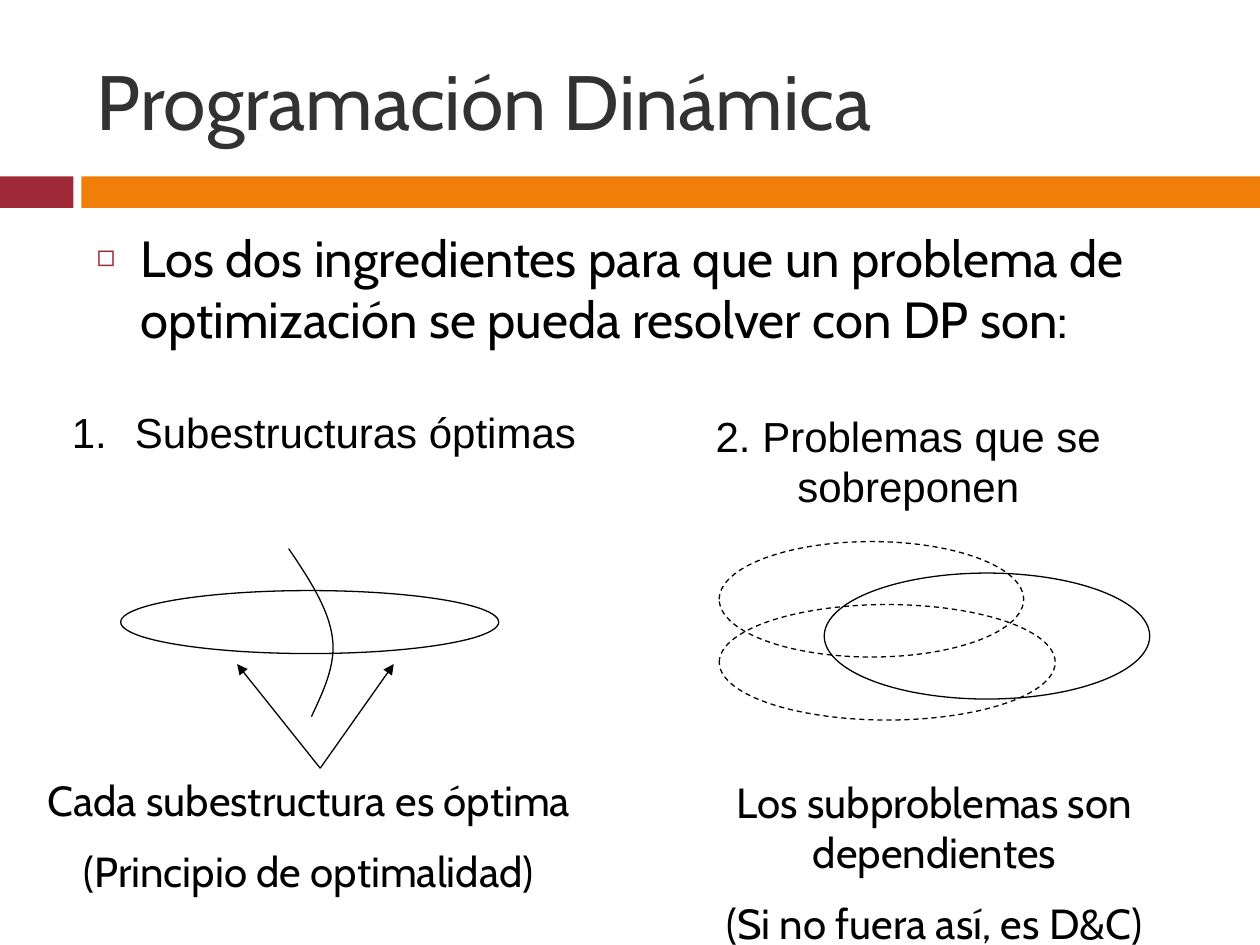
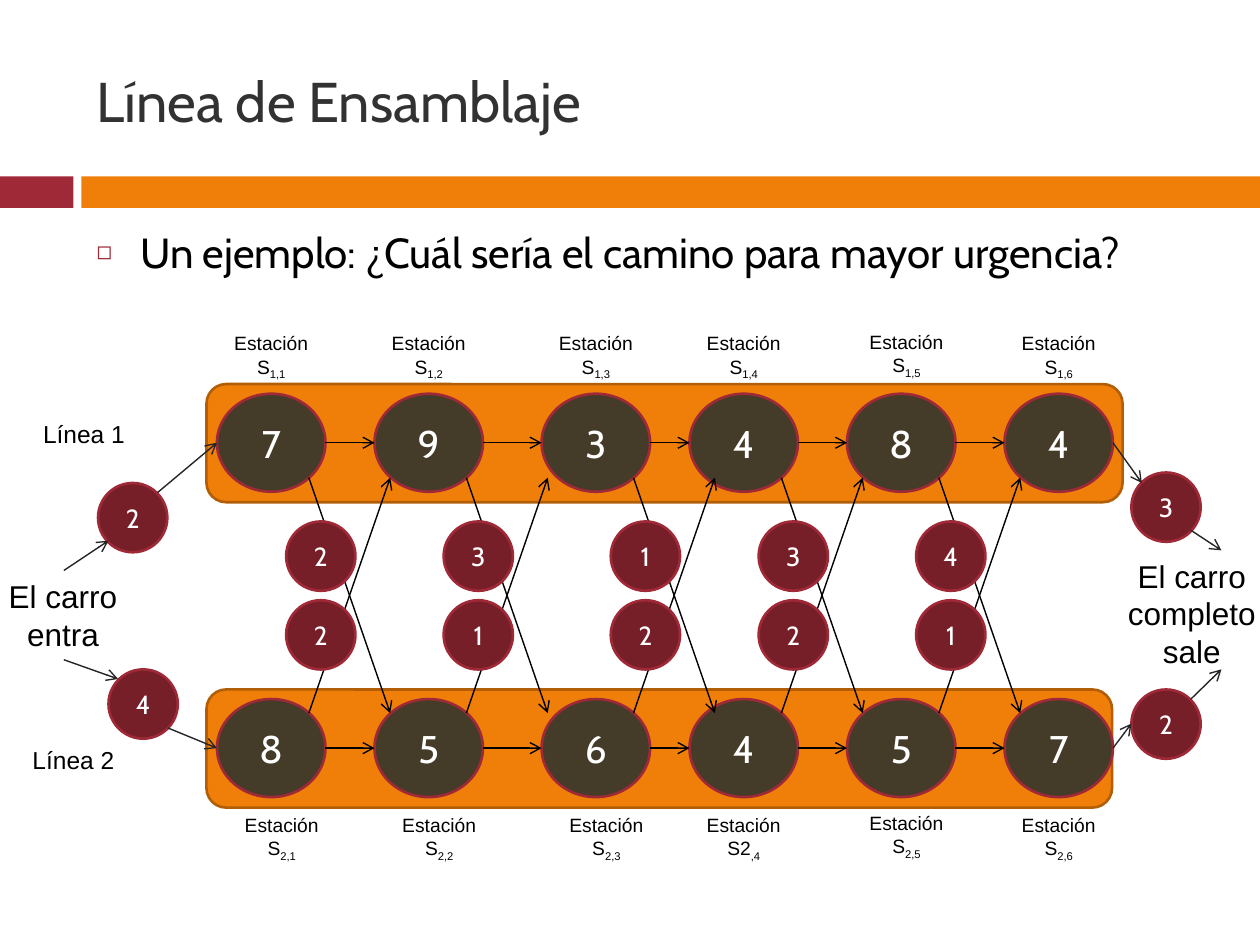
import pptx
import pptx.dml.color
import pptx.enum.dml
import pptx.enum.shapes
import pptx.enum.text
import pptx.oxml.ns
import pptx.util
import lxml.etree

Pt = pptx.util.Pt
RGB = pptx.dml.color.RGBColor
SHAPE = pptx.enum.shapes.MSO_SHAPE
ALIGN = pptx.enum.text.PP_ALIGN
ANCHOR = pptx.enum.text.MSO_ANCHOR
DASH = pptx.enum.dml.MSO_LINE.DASH
qn = pptx.oxml.ns.qn

BLACK = RGB(0x00, 0x00, 0x00)
WHITE = RGB(0xFF, 0xFF, 0xFF)
RED = RGB(0x9F, 0x29, 0x36)
DARK_RED = RGB(0x77, 0x1F, 0x28)
ORANGE = RGB(0xF0, 0x7F, 0x09)
BROWN = RGB(0xB2, 0x5E, 0x07)
OLIVE = RGB(0x44, 0x3C, 0x29)
INK = RGB(0x32, 0x32, 0x32)
GREY = RGB(0x26, 0x26, 0x26)

NO_INSET = dict(margin_left=0, margin_right=0, margin_top=0, margin_bottom=0)
TITLE_BOX = (48, 18, 642, 78)
BODY_BOX = (48, 126, 642, 354)


def apply(obj, values):
    for name, value in values.items():
        setattr(obj, name, value)


def sub(parent, tag, **attrs):
    return lxml.etree.SubElement(parent, qn(tag), attrs)


def place(sp, box):
    apply(sp, dict(zip(("left", "top", "width", "height"), map(Pt, box))))


def add_run(p, text, size, font, color):
    r = p.add_run()
    r.text = text
    apply(r.font, dict(size=Pt(size), name=font))
    r.font.color.rgb = color
    return r


def write(tf, lines, size, font, color=BLACK, align=ALIGN.CENTER, gap=0):
    for i, line in enumerate(lines):
        p = tf.paragraphs[0] if i == 0 else tf.add_paragraph()
        apply(p, dict(alignment=align, space_before=Pt(gap if i else 0)))
        add_run(p, line, size, font, color)


def add_text(s, box, lines, size, font="Arial", **kw):
    sp = s.shapes.add_textbox(*map(Pt, box))
    sp.text_frame.word_wrap = True
    write(sp.text_frame, lines, size, font, **kw)
    return sp


def outline(sp, color, width, dash=None):
    sp.line.color.rgb = color
    sp.line.width = Pt(width)
    if dash:
        sp.line.dash_style = dash


def add_shape(s, kind, box, fill=None, line=None, width=0.75, dash=None):
    sp = s.shapes.add_shape(kind, *map(Pt, box))
    sp.shadow.inherit = False
    if fill is None:
        sp.fill.background()
    else:
        sp.fill.solid()
        sp.fill.fore_color.rgb = fill
    if line is None:
        sp.line.fill.background()
    else:
        outline(sp, line, width, dash)
    return sp


def add_ball(s, box, fill, text, size):
    sp = add_shape(s, SHAPE.OVAL, box, fill, RED, 1.5)
    apply(sp.text_frame, dict(NO_INSET, vertical_anchor=ANCHOR.MIDDLE))
    write(sp.text_frame, [text], size, "Cabin", WHITE)


def add_arrow(s, x1, y1, x2, y2, color=BLACK, width=0.79, head="arrow"):
    cn = s.shapes.add_connector(pptx.enum.shapes.MSO_CONNECTOR.STRAIGHT,
                                *map(Pt, (x1, y1, x2, y2)))
    outline(cn, color, width)
    sub(cn.line._get_or_add_ln(), "a:tailEnd", type=head)
    sub(cn.element.spPr, "a:effectLst")


def add_bullet(p, indent, number=False):
    pPr = p._p.get_or_add_pPr()
    pPr.set("marL", str(Pt(indent)))
    pPr.set("indent", str(-Pt(indent)))
    if number:
        sub(pPr, "a:buFont", typeface="+mj-lt")
        sub(pPr, "a:buAutoNum", type="arabicPeriod")
    else:
        sub(sub(pPr, "a:buClr"), "a:srgbClr", val=str(RED))
        sub(pPr, "a:buSzPct", val="60000")
        sub(pPr, "a:buChar", char="◻")


def add_bands(s, layout):
    for box, color in (((0, 100.8, 42, 18), RED), ((46.5, 100.8, 673.5, 18), ORANGE)):
        layout.shapes.element.append(add_shape(s, SHAPE.RECTANGLE, box, color).element)


def add_slide(prs, layout, title, size, body, body_size):
    s = prs.slides.add_slide(layout)
    for sp, box in zip(s.placeholders, (TITLE_BOX, BODY_BOX)):
        place(sp, box)
        apply(sp.text_frame, dict(auto_size=pptx.enum.text.MSO_AUTO_SIZE.NONE, word_wrap=True))
    s.shapes.title.text_frame.vertical_anchor = ANCHOR.MIDDLE
    write(s.shapes.title.text_frame, [title], size, "Cabin", INK, ALIGN.LEFT)
    tf = s.placeholders[1].text_frame
    write(tf, [body], body_size, "Cabin", align=ALIGN.LEFT)
    tf.paragraphs[0].space_before = Pt(7)
    add_bullet(tf.paragraphs[0], 25)
    return s


def bezier(a, b, c, d, steps=16):
    for i in range(1, steps + 1):
        t = i / steps
        u = 1 - t
        yield tuple(u**3 * e + 3 * u * u * t * f + 3 * u * t * t * g + t**3 * h
                    for e, f, g, h in zip(a, b, c, d))


def optimal_substructure(s, x, y):
    sp = add_text(s, (x + 20, y, 324, 37), ["Subestructuras óptimas"], 24, align=ALIGN.LEFT)
    add_bullet(sp.text_frame.paragraphs[0], 36, number=True)
    add_shape(s, SHAPE.OVAL, (x + 55, y + 108.5, 216, 36), line=BLACK)
    cut = [(x + dx, y + dy) for dx, dy in
           ((151, 84.5), (162.5, 101.5), (174, 119), (176, 135.5),
            (178, 151), (171, 165.5), (164, 180.5))]
    fb = s.shapes.build_freeform(*map(Pt, cut[0]))
    points = [*bezier(*cut[:4]), *bezier(*cut[3:])]
    fb.add_line_segments([tuple(map(Pt, pt)) for pt in points], close=False)
    sp = fb.convert_to_shape()
    sp.shadow.inherit = False
    sp.fill.background()
    outline(sp, BLACK, 0.75)
    for tip in (121.5, 211):
        add_arrow(s, x + 169, y + 210, x + tip, y + 150.5, width=0.75, head="triangle")
    add_text(s, (x, y + 210, 325, 80),
             ["Cada subestructura es óptima", "(Principio de optimalidad)"],
             24, "Cabin", gap=12)


def overlapping_problems(s, x, y):
    add_text(s, (x + 14.5, y, 312, 65.5), ["2. Problemas que se sobreponen"], 24)
    for box, dash in (((62.5, 78.5, 174, 66), DASH), ((122.5, 96.5, 186, 72), None),
                      ((62.5, 114.5, 192, 66), DASH)):
        dx, dy, w, h = box
        add_shape(s, SHAPE.OVAL, (x + dx, y + dy, w, h), line=BLACK, dash=dash)
    add_text(s, (x, y + 209, 371, 80),
             ["Los subproblemas son dependientes", "(Si no fuera así, es D&C)"],
             24, "Cabin", gap=12)


STATIONS = (124, 214, 309.5, 394, 484, 574)
TIMES = ("793484", "856457")
TRANSFERS = ("23134", "21221")
LABEL_SHIFT = ((0, 0, 0, 0, 3, 0), (6, 6, 6, 0, 3, 0))


def station_label(s, x, y, head, index):
    sp = add_text(s, (x, y, 84, 34), ["Estación"], 11)
    p = sp.text_frame.add_paragraph()
    p.alignment = ALIGN.CENTER
    add_run(p, head, 11, "Arial", BLACK)
    r = add_run(p, index, 11, "Arial", BLACK)
    r.font._element.set("baseline", "-25000")


def station_row(s, x, y, row, belt_width, label_y):
    add_shape(s, SHAPE.ROUNDED_RECTANGLE, (x + 118, y, belt_width, 67.5), ORANGE, BROWN, 1.5)
    for i, left in enumerate(STATIONS):
        add_ball(s, (x + left, y + 5.5, 62, 56), OLIVE, TIMES[row][i], 22)
        if i:
            add_arrow(s, x + STATIONS[i - 1] + 62, y + 33.5, x + left, y + 33.5)
        head, index = ("S2", ",4") if (row, i) == (1, 3) else ("S", f"{row + 1},{i + 1}")
        lift = 1 if i == 4 else 0
        station_label(s, x + left - 11 + LABEL_SHIFT[row][i], label_y - lift, head, index)


def transfers(s, x, y):
    for i, left in enumerate(STATIONS[:-1]):
        x1 = x + left + 52.5
        add_arrow(s, x1, y + 134.5, x1 + 46.5, y)
        add_arrow(s, x1, y, x1 + 46.5, y + 134.5)
        for row, dy in enumerate((25, 70)):
            add_ball(s, (x + left + 39.5, y + dy, 39.6, 39.6), DARK_RED, TRANSFERS[row][i], 15)


def entry_and_exit(s, x, y):
    for box, text, size in (((-6, 142, 84, 51), "El carro entra", 18),
                            ((636, 130.5, 90, 73), "El carro completo sale", 18),
                            ((6, 52, 84, 24.5), "Línea 1", 14),
                            ((0, 238, 84, 24.5), "Línea 2", 14)):
        dx, dy, w, h = box
        add_text(s, (x + dx, y + dy, w, h), [text], size)
    for dx, dy, text in ((56, 92, "2"), (62, 198.5, "4"), (646.5, 86, "3"), (646.5, 210, "2")):
        add_ball(s, (x + dx, y + dy, 39.6, 39.6), DARK_RED, text, 15)
    for x1, y1, x2, y2 in ((90, 97.5, 124, 69), (36.5, 142, 62, 125),
                           (96, 232, 124, 243.5), (36.5, 193, 67.5, 204),
                           (636, 69, 652.5, 92), (680.5, 119, 698, 130.5),
                           (636, 243.5, 646.5, 229.5), (680.5, 215.5, 698, 198.5)):
        add_arrow(s, x + x1, y + y1, x + x2, y + y2, GREY)


def assembly_line(s, x, y):
    station_row(s, x, y + 35.5, 0, 523.5, y + 2)
    station_row(s, x, y + 210, 1, 517.5, y + 277)
    transfers(s, x, y + 89)
    entry_and_exit(s, x, y)


prs = pptx.Presentation()
apply(prs, dict(slide_width=Pt(720), slide_height=Pt(540)))
layout = prs.slide_layouts[1]

s = add_slide(prs, layout, "Programación Dinámica", 44,
              "Los dos ingredientes para que un problema de optimización "
              "se pueda resolver con DP son:", 29)
add_bands(s, layout)
optimal_substructure(s, 14, 229)
overlapping_problems(s, 348.5, 231)

s = add_slide(prs, layout, "Línea de Ensamblaje", 32,
              "Un ejemplo: ¿Cuál sería el camino para mayor urgencia?", 24)
assembly_line(s, 0, 184)

prs.save("out.pptx")
